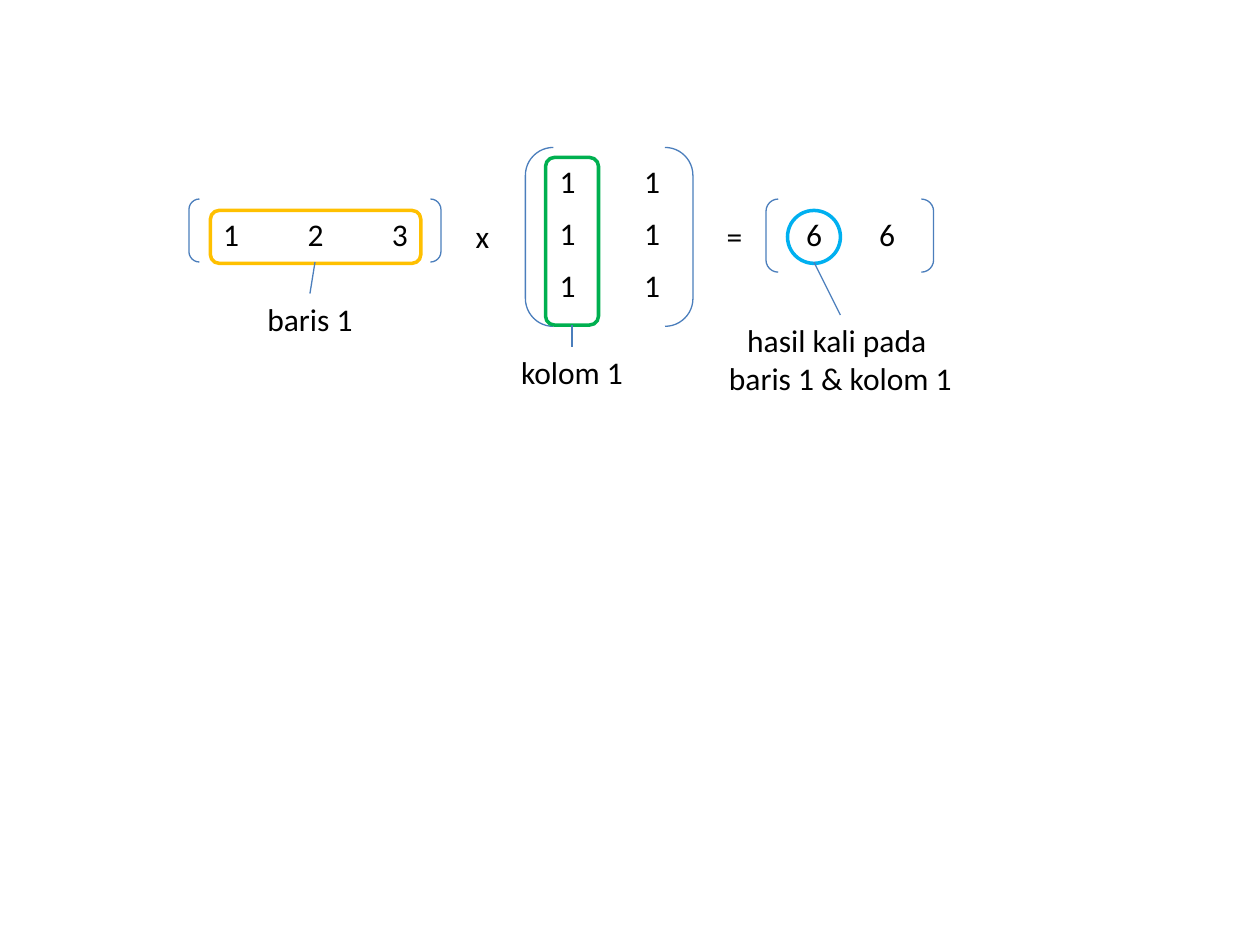
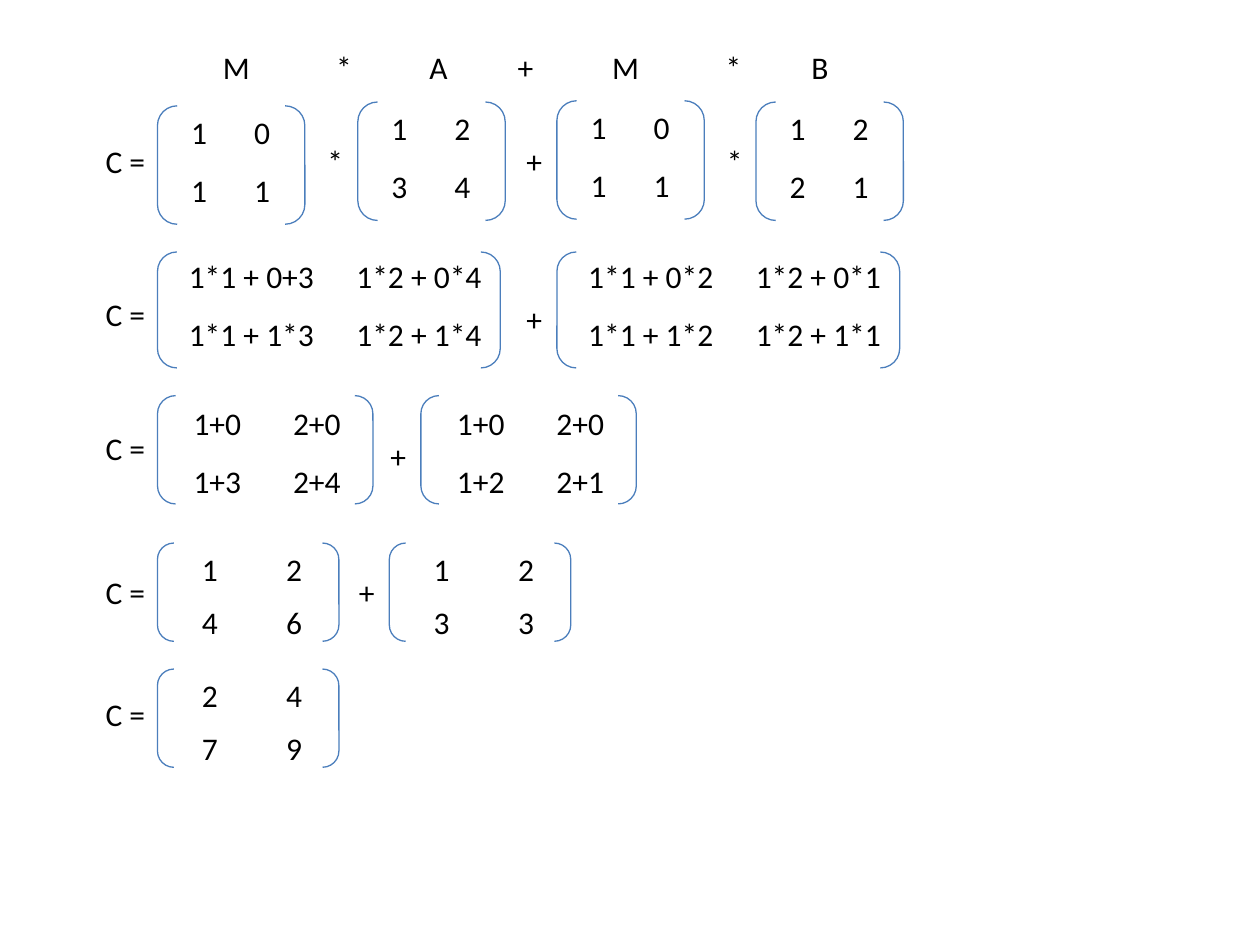
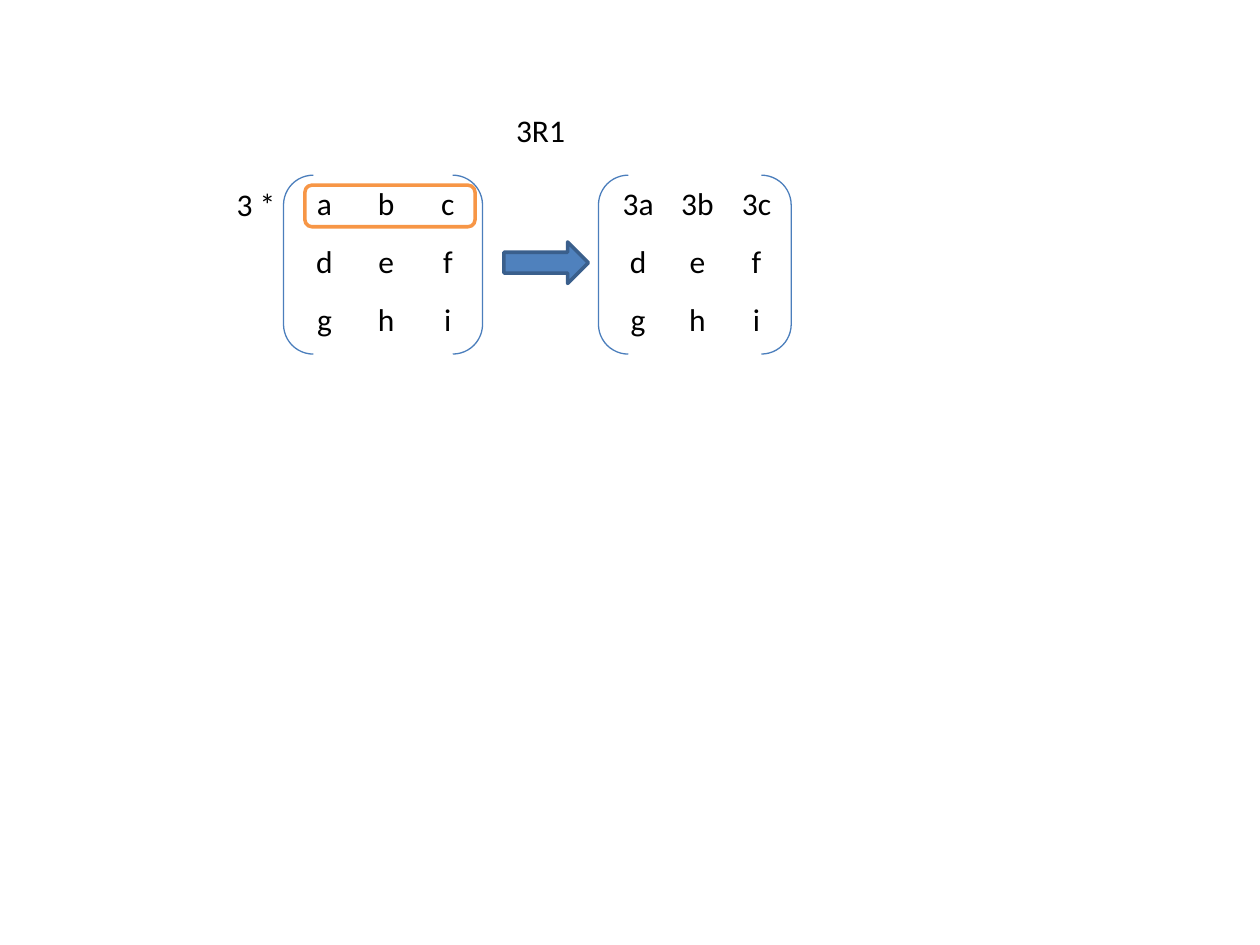
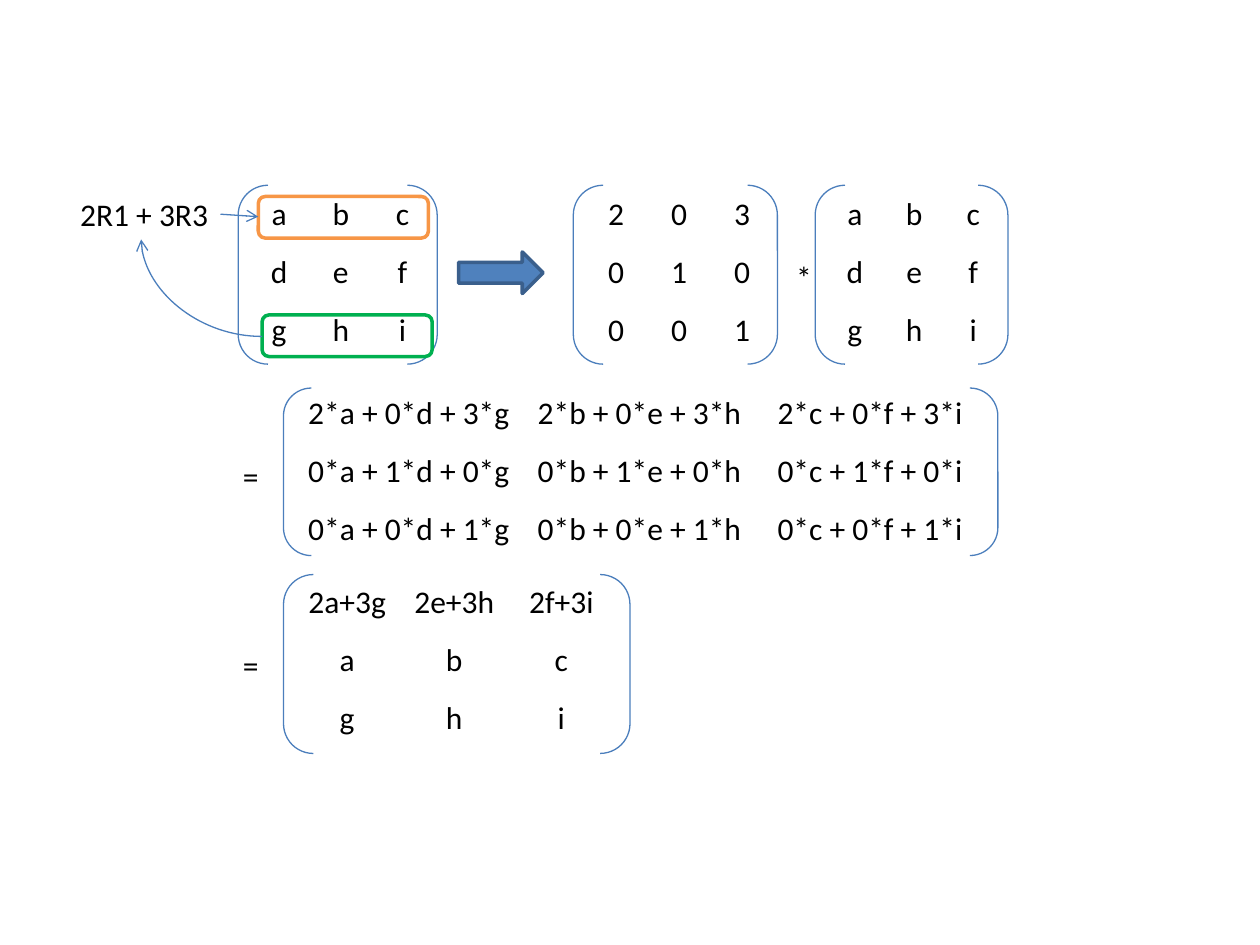
from lxml.etree import SubElement
from pptx import Presentation
from pptx.dml.color import RGBColor
from pptx.enum.shapes import MSO_CONNECTOR, MSO_SHAPE
from pptx.enum.text import MSO_AUTO_SIZE, PP_ALIGN
from pptx.oxml.ns import qn
from pptx.util import Inches, Pt

COLORS = {
    "text": "000000",
    "bracket": "4B7EBC",
    "arrow": "4F81BD",
    "arrow_edge": "3A5F8C",
    "gold": "FFC000",
    "green": "00B050",
    "sky": "00B0F0",
    "orange": "F79646",
}
FONT = "Calibri"
NO_GRID_STYLE = "{2D5ABB26-0587-4C30-8999-92F81FD0307C}"
LEFT, CENTER, RIGHT = PP_ALIGN.LEFT, PP_ALIGN.CENTER, PP_ALIGN.RIGHT


def write(frame, lines, align):
    for index, line in enumerate(lines):
        para = frame.add_paragraph() if index else frame.paragraphs[0]
        para.alignment = align
        span = para.add_run()
        span.text = line
        span.font.name = FONT
        span.font.size = Pt(18)
        span.font.color.rgb = RGBColor.from_string(COLORS["text"])


def add_outline(page, kind, box, color, weight):
    shape = page.shapes.add_shape(kind, *map(Inches, box))
    shape.shadow.inherit = False
    shape.fill.background()
    shape.line.color.rgb = RGBColor.from_string(COLORS[color])
    shape.line.width = Pt(weight)
    return shape


deck = Presentation()
deck.slide_width, deck.slide_height = Inches(10), Inches(7.5)
product, distribution, scaling, combination = [
    deck.slides.add_slide(deck.slide_layouts[6]) for _ in range(4)
]

letters = ["a,b,c", "d,e,f", "g,h,i"]

# page, left, top, column width, row height, rows, bracket box
matrices = [
    (product, 4.17, 1.25, 0.67, 0.41, ["1,1"] * 3, (4.17, 1.17, 1.33, 1.42)),
    (product, 1.5, 1.67, 0.67, 0.41, ["1,2,3"], (1.5, 1.58, 2, 0.5)),
    (product, 6.17, 1.67, 0.58, 0.41, ["6,6"], (6.08, 1.58, 1.33, 0.58)),
    (scaling, 2.33, 1.42, 0.49, 0.46, letters, (2.25, 1.39, 1.58, 1.42)),
    (scaling, 4.83, 1.42, 0.47, 0.46, ["3a,3b,3c"] + letters[1:], (4.75, 1.39, 1.53, 1.42)),
    (combination, 1.97, 1.5, 0.49, 0.46, letters, (1.89, 1.47, 1.58, 1.42)),
    (combination, 4.64, 1.5, 0.5, 0.46, ["2,0,3", "0,1,0", "0,0,1"], (4.55, 1.47, 1.62, 1.42)),
    (combination, 6.55, 1.5, 0.47, 0.46, letters, (6.47, 1.47, 1.53, 1.42)),
    (combination, 2.33, 3.08, 1.83, 0.46, [
        "2*a + 0*d + 3*g,2*b + 0*e + 3*h,2*c + 0*f + 3*i",
        "0*a + 1*d + 0*g,0*b + 1*e + 0*h,0*c + 1*f + 0*i",
        "0*a + 0*d + 1*g,0*b + 0*e + 1*h,0*c + 0*f + 1*i",
    ], (2.25, 3.08, 5.67, 1.33)),
    (combination, 2.33, 4.58, 0.85, 0.46, ["2a+3g,2e+3h,2f+3i", "a,b,c", "g,h,i"],
     (2.25, 4.56, 2.75, 1.42)),
]

# column width, row height, bracket rise, bracket size, then left, top and rows of each matrix
equation_lines = [
    (0.5, 0.46, 0.02, (1.17, 0.94), [
        (1.33, 0.86, ["1,0", "1,1"]),
        (2.92, 0.83, ["1,2", "3,4"]),
        (4.5, 0.82, ["1,0", "1,1"]),
        (6.08, 0.83, ["1,2", "2,1"]),
    ]),
    (1.33, 0.46, 0, (2.72, 0.92), [
        (1.33, 2, ["1*1 + 0+3,1*2 + 0*4", "1*1 + 1*3,1*2 + 1*4"]),
        (4.5, 2, ["1*1 + 0*2,1*2 + 0*1", "1*1 + 1*2,1*2 + 1*1"]),
    ]),
    (0.79, 0.46, 0.03, (1.71, 0.86), [
        (1.33, 3.17, ["1+0,2+0", "1+3,2+4"]),
        (3.42, 3.17, ["1+0,2+0", "1+2,2+1"]),
    ]),
    (0.67, 0.42, 0.02, (1.44, 0.78), [
        (1.33, 4.33, ["1,2", "4,6"]),
        (3.17, 4.33, ["1,2", "3,3"]),
        (1.33, 5.33, ["2,4", "7,9"]),
    ]),
]
for column, row, rise, size, terms in equation_lines:
    for left, top, rows in terms:
        bracket = (left - 0.08, top - rise, *size)
        matrices.append((distribution, left, top, column, row, rows, bracket))

for page, left, top, column, row, rows, bracket in matrices:
    grid = [line.split(",") for line in rows]
    across, down = len(grid[0]), len(grid)
    holder = page.shapes.add_table(
        down, across, Inches(left), Inches(top), Inches(column * across), Inches(row * down)
    )
    table = holder.table
    table.first_row = table.horz_banding = False
    holder._element.find(".//" + qn("a:tableStyleId")).text = NO_GRID_STYLE
    for table_row, values in zip(table.rows, grid):
        for cell, value in zip(table_row.cells, values):
            cell.fill.background()
            write(cell.text_frame, [value], CENTER)
    add_outline(page, MSO_SHAPE.DOUBLE_BRACKET, bracket, "bracket", 0.75)

highlights = [
    (product, MSO_SHAPE.OVAL, (6.25, 1.67, 0.42, 0.42), "sky"),
    (product, MSO_SHAPE.ROUNDED_RECTANGLE, (4.33, 1.25, 0.42, 1.33), "green"),
    (product, MSO_SHAPE.ROUNDED_RECTANGLE, (1.67, 1.67, 1.67, 0.42), "gold"),
    (scaling, MSO_SHAPE.ROUNDED_RECTANGLE, (2.42, 1.47, 1.35, 0.33), "orange"),
    (combination, MSO_SHAPE.ROUNDED_RECTANGLE, (2.05, 1.56, 1.35, 0.33), "orange"),
    (combination, MSO_SHAPE.ROUNDED_RECTANGLE, (2.08, 2.5, 1.35, 0.33), "green"),
]
for page, kind, box, color in highlights:
    add_outline(page, kind, box, color, 2)

for page, left, top in [(scaling, 4, 1.92), (combination, 3.64, 2)]:
    arrow = add_outline(page, MSO_SHAPE.RIGHT_ARROW, (left, top, 0.67, 0.33), "arrow_edge", 2)
    arrow.fill.solid()
    arrow.fill.fore_color.rgb = RGBColor.from_string(COLORS["arrow"])

labels = [
    (product, "x", 3.58, 1.67, 0.5, CENTER),
    (product, "=", 5.58, 1.67, 0.5, CENTER),
    (product, "hasil kali pada \nbaris 1 & kolom 1", 5.67, 2.5, 2, CENTER),
    (product, "kolom 1", 4, 2.75, 1.08, CENTER),
    (product, "baris 1", 1.92, 2.33, 1.08, CENTER),
    (scaling, "3R1", 3.58, 0.83, 1.42, CENTER),
    (scaling, "3 *", 1.78, 1.42, 0.58, LEFT),
    (combination, "2R1 + 3R3", 0.5, 1.5, 1.25, RIGHT),
    (combination, "*", 6.22, 2, 0.25, CENTER),
    (combination, "=", 1.83, 3.58, 0.25, CENTER),
    (combination, "=", 1.83, 5.08, 0.25, CENTER),
    (distribution, "M\t*\tA\t+\tM\t*\tB", 1.67, 0.33, 5.75, LEFT),
]
for top in (1.08, 2.29, 3.36, 4.5, 5.47):
    labels.append((distribution, "C =", 0.5, top, 0.75, RIGHT))
for sign, left, top in [
    ("*", 2.5, 1.08), ("+", 4.08, 1.08), ("*", 5.67, 1.08),
    ("+", 4.08, 2.33), ("+", 3, 3.42), ("+", 2.75, 4.5),
]:
    labels.append((distribution, sign, left, top, 0.25, CENTER))

for page, text, left, top, width, align in labels:
    lines = text.split("\n")
    height = 0.4 if len(lines) == 1 else 0.71
    box = page.shapes.add_textbox(Inches(left), Inches(top), Inches(width), Inches(height))
    box.text_frame.word_wrap = True
    box.text_frame.auto_size = MSO_AUTO_SIZE.SHAPE_TO_FIT_TEXT
    write(box.text_frame, lines, align)
    if "\t" in text:
        stops = SubElement(box.text_frame.paragraphs[0]._p.get_or_add_pPr(), qn("a:tabLst"))
        for position in (0.9, 1.64, 2.34, 3.09, 3.99, 4.67):
            SubElement(stops, qn("a:tab"), pos=str(Inches(position)), algn="l")

pointers = [
    (product, MSO_CONNECTOR.STRAIGHT, (6.46, 2.08, 6.67, 2.5)),
    (product, MSO_CONNECTOR.STRAIGHT, (4.54, 2.58, 4.54, 2.75)),
    (product, MSO_CONNECTOR.STRAIGHT, (2.46, 2.33, 2.5, 2.08)),
    (combination, MSO_CONNECTOR.CURVE, (1.12, 1.9, 2.08, 2.67)),
    (combination, MSO_CONNECTOR.STRAIGHT, (1.75, 1.7, 2.05, 1.72)),
]
for page, kind, ends in pointers:
    pointer = page.shapes.add_connector(kind, *map(Inches, ends))
    pointer.line.color.rgb = RGBColor.from_string(COLORS["bracket"])
    pointer.line.width = Pt(0.75)
    properties = pointer._element.spPr
    if page is combination:
        SubElement(properties.find(qn("a:ln")), qn("a:tailEnd"), type="arrow")
    if kind == MSO_CONNECTOR.CURVE:
        properties.find(qn("a:prstGeom")).set("prst", "curvedConnector2")
        properties.find(qn("a:xfrm")).set("rot", "10800000")
    SubElement(properties, qn("a:effectLst"))

deck.save("out.pptx")
